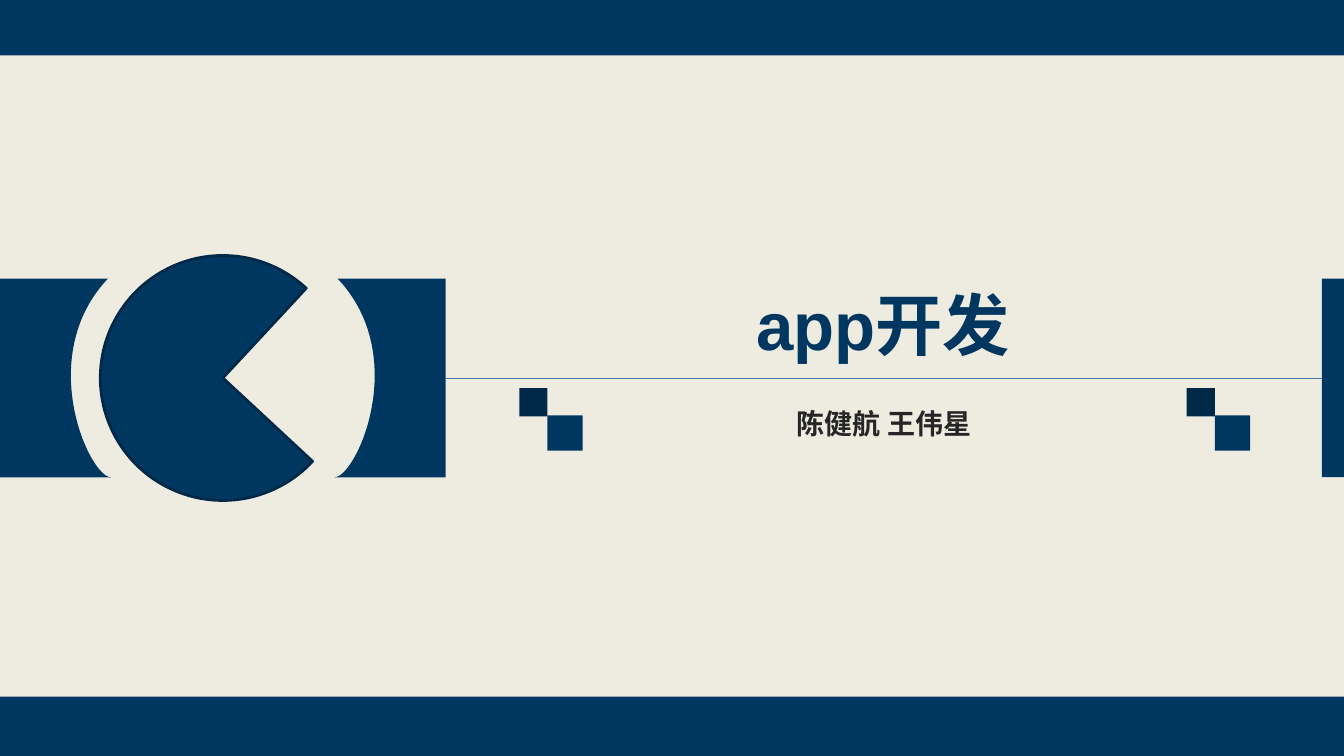
from lxml import etree
from pptx import Presentation
from pptx.dml.color import RGBColor
from pptx.enum.shapes import MSO_CONNECTOR, MSO_SHAPE
from pptx.enum.text import MSO_AUTO_SIZE, PP_ALIGN
from pptx.oxml.ns import qn
from pptx.util import Inches, Pt

RECTANGLE = MSO_SHAPE.RECTANGLE
TEARDROP = MSO_SHAPE.TEAR
STRAIGHT = MSO_CONNECTOR.STRAIGHT
CENTER = PP_ALIGN.CENTER
GROW = MSO_AUTO_SIZE.SHAPE_TO_FIT_TEXT

NAVY = RGBColor(0x00, 0x37, 0x60)
DARK_NAVY = RGBColor(0x00, 0x29, 0x48)
STEEL = RGBColor(0x45, 0x75, 0xA5)
CHARCOAL = RGBColor(0x26, 0x26, 0x26)
IVORY = RGBColor(0xEE, 0xEC, 0xE1)

WIDTH, HEIGHT = 13.33, 7.5
MIDDLE = HEIGHT / 2
BAND_HEIGHT = 1.97
BAND_TOP = MIDDLE - BAND_HEIGHT / 2
BAND_BOTTOM = MIDDLE + BAND_HEIGHT / 2
BAND_RIGHT = 4.42
TAB_LEFT = 13.11
BAR_HEIGHT = 0.59
DISC = 2.43
CURVE_STEPS = 40

deck = Presentation()
deck.slide_width, deck.slide_height = Inches(WIDTH), Inches(HEIGHT)
slide = deck.slides.add_slide(deck.slide_layouts[6])
slide.background.fill.solid()
slide.background.fill.fore_color.rgb = IVORY


def add_solid(kind, left, top, width, height, color):
    solid = slide.shapes.add_shape(
        kind, Inches(left), Inches(top), Inches(width), Inches(height))
    solid.shadow.inherit = False
    solid.fill.solid()
    solid.fill.fore_color.rgb = color
    solid.line.fill.background()
    return solid


def add_caption(text, left, top, width, height, size, color):
    caption = slide.shapes.add_textbox(
        Inches(left), Inches(top), Inches(width), Inches(height)).text_frame
    caption.word_wrap = True
    caption.auto_size = GROW
    caption.text = text
    paragraph = caption.paragraphs[0]
    paragraph.alignment = CENTER
    font = paragraph.runs[0].font
    font.name, font.size, font.bold = "Arial", Pt(size), True
    font.color.rgb = color


disc = add_solid(TEARDROP, BAND_RIGHT / 2 - DISC / 2, MIDDLE - DISC / 2, DISC, DISC, NAVY)
disc.adjustments[0] = 0
disc.rotation = 42.9
disc.line.color.rgb = DARK_NAVY
disc.line.width = Pt(2)

curve_controls = [(1.07, BAND_TOP), (0.34, 3.54), (0.89, BAND_BOTTOM), (1.1, BAND_BOTTOM)]
inner_edge = []
for step in range(CURVE_STEPS + 1):
    t = step / CURVE_STEPS
    weights = [(1 - t) ** 3, 3 * t * (1 - t) ** 2, 3 * t ** 2 * (1 - t), t ** 3]
    inner_edge.append(tuple(
        sum(w * point[axis] for w, point in zip(weights, curve_controls)) for axis in (0, 1)))
band_outline = [(0, BAND_TOP)] + inner_edge + [(0, BAND_BOTTOM)]

for origin, direction in ((0, 1), (BAND_RIGHT, -1)):
    corners = [(Inches(origin + direction * x), Inches(y)) for x, y in band_outline]
    builder = slide.shapes.build_freeform(*corners[0])
    builder.add_line_segments(corners[1:], close=True)
    band = builder.convert_to_shape()
    band.shadow.inherit = False
    band.fill.solid()
    band.fill.fore_color.rgb = NAVY
    band.line.fill.background()

tab = add_solid(RECTANGLE, TAB_LEFT, BAND_TOP, WIDTH - TAB_LEFT, BAND_HEIGHT, NAVY)

add_caption("app开发", BAND_RIGHT, 2.76, 8.68, 0.91, 48, NAVY)

divider = slide.shapes.add_connector(
    STRAIGHT, Inches(BAND_RIGHT), Inches(MIDDLE), Inches(TAB_LEFT), Inches(MIDDLE))
divider.end_connect(tab, 1)
divider.line.color.rgb = STEEL
divider.line.width = Pt(0.5)
etree.SubElement(divider._element.spPr, qn("a:effectLst"))

for squares_left in (5.15, 11.77):
    add_solid(RECTANGLE, squares_left + 0.28, 4.12, 0.35, 0.35, NAVY)
    add_solid(RECTANGLE, squares_left, 3.85, 0.28, 0.28, DARK_NAVY)

for bar_top in (-0.04, HEIGHT - BAR_HEIGHT):
    add_solid(RECTANGLE, 0, bar_top, WIDTH, BAR_HEIGHT, NAVY)

add_caption("陈健航 王伟星", 7.39, 3.98, 2.76, 0.44, 20, CHARCOAL)

deck.save("out.pptx")
